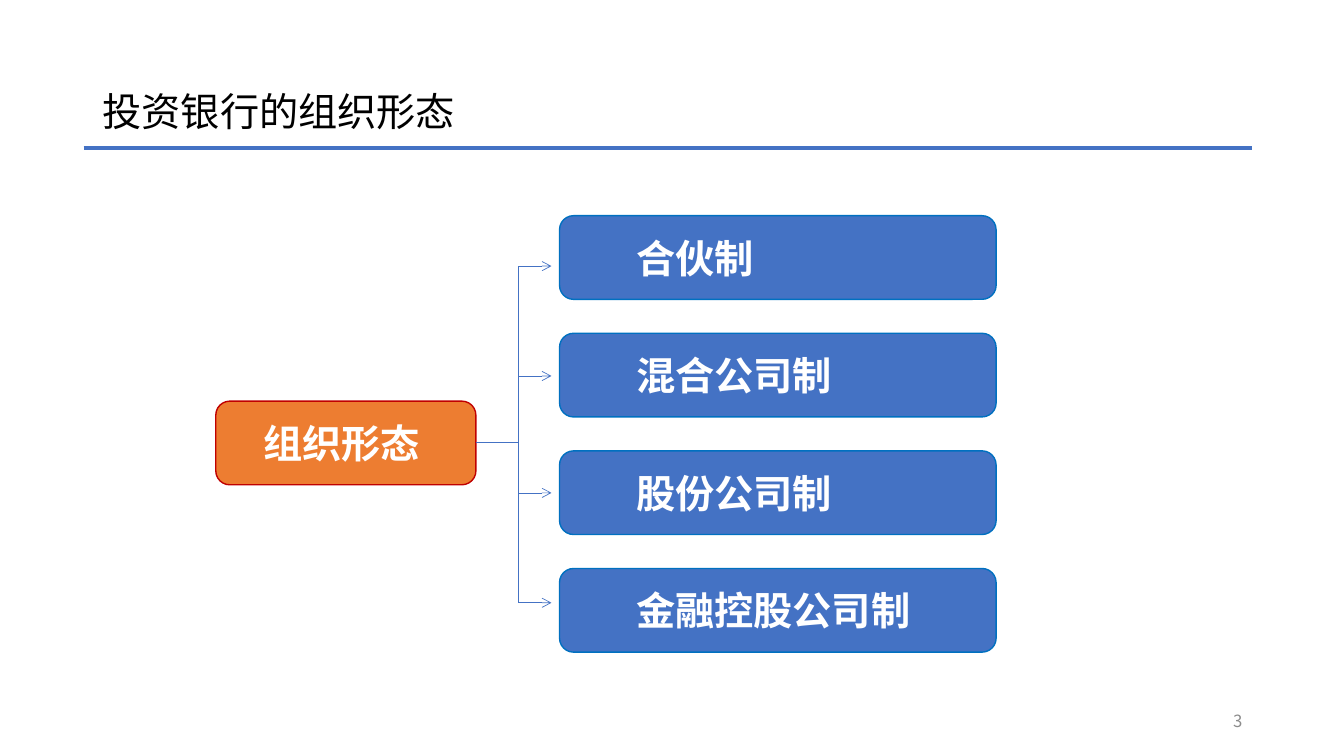
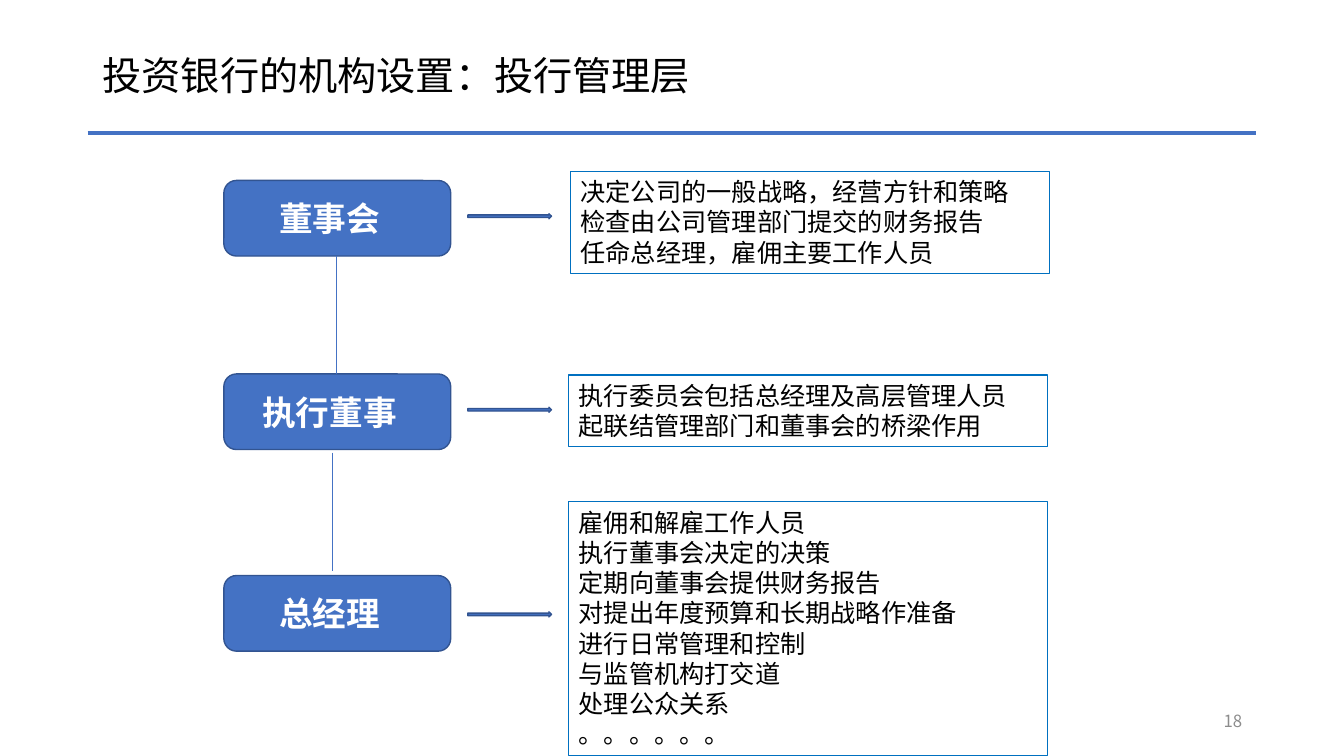
from lxml import etree
from pptx import Presentation
from pptx.dml.color import RGBColor
from pptx.enum.shapes import MSO_CONNECTOR, MSO_SHAPE
from pptx.enum.text import MSO_ANCHOR, PP_ALIGN
from pptx.oxml.ns import qn
from pptx.util import Inches, Pt

STRAIGHT = MSO_CONNECTOR.STRAIGHT
RECT, ROUNDED, RIGHT_ARROW = MSO_SHAPE.RECTANGLE, MSO_SHAPE.ROUNDED_RECTANGLE, MSO_SHAPE.RIGHT_ARROW
TOP, MIDDLE = MSO_ANCHOR.TOP, MSO_ANCHOR.MIDDLE
LEFT, CENTER, RIGHT = PP_ALIGN.LEFT, PP_ALIGN.CENTER, PP_ALIGN.RIGHT

FONT = "Noto Sans CJK SC"
BLACK, WHITE, GRAY = "000000", "FFFFFF", "8C8C8C"
BLUE, EDGE_BLUE, DARK_BLUE = "4472C4", "0070C0", "325491"
ORANGE, RED = "ED7D31", "C00000"


def color(hex_string):
    return RGBColor.from_string(hex_string)


def set_all(target, values):
    for name, value in values.items():
        setattr(target, name, value)


class Deck:
    """Shared style plus the slide being filled; positions are in inches."""

    def __init__(self):
        self.prs = Presentation()
        self.prs.slide_width, self.prs.slide_height = Inches(13.33), Inches(7.5)
        self.slide = None

    def new_slide(self, title, number, title_height, rule_left, rule_y):
        self.slide = self.prs.slides.add_slide(self.prs.slide_layouts[6])
        self.text_box((0.92, 0.4, 11.5, title_height), title, 28, BLACK, spacing=0.9)
        self.line((rule_left, rule_y), (rule_left + 11.59, rule_y), width=3)
        self.text_box((9.42, 6.95, 3, 0.4), number, 12, GRAY, align=RIGHT)

    def text_box(self, box, text, size, ink, **layout):
        holder = self.slide.shapes.add_textbox(*map(Inches, box))
        self.set_text(holder.text_frame, [text], size, ink, **layout)

    def set_text(self, frame, lines, size, ink, bold=False, align=LEFT, anchor=MIDDLE,
                 spacing=None, insets=(0.1, 0.1)):
        set_all(frame, {
            "word_wrap": True, "vertical_anchor": anchor,
            "margin_left": Inches(insets[0]), "margin_right": Inches(insets[1]),
            "margin_top": Inches(0.05), "margin_bottom": Inches(0.05),
        })
        for index, line in enumerate(lines):
            paragraph = frame.add_paragraph() if index else frame.paragraphs[0]
            paragraph.alignment = align
            if spacing:
                paragraph.line_spacing = spacing
            run = paragraph.add_run()
            run.text = line
            set_all(run.font, {"name": FONT, "size": Pt(size), "bold": bold})
            run.font.color.rgb = color(ink)
            east_asian = etree.SubElement(run._r.get_or_add_rPr(), qn("a:ea"))
            east_asian.set("typeface", FONT)

    def shape(self, kind, box, fill, edge, edge_width=1):
        shape = self.slide.shapes.add_shape(kind, *map(Inches, box))
        shape.shadow.inherit = False
        if fill:
            shape.fill.solid()
            shape.fill.fore_color.rgb = color(fill)
        else:
            shape.fill.background()
        shape.line.color.rgb = color(edge)
        shape.line.width = Pt(edge_width)
        return shape

    def label(self, box, text, size, edge, fill=BLUE, align=CENTER, insets=(0.1, 0.25)):
        shape = self.shape(ROUNDED, box, fill, edge)
        self.set_text(shape.text_frame, [text], size, WHITE, bold=True, align=align, insets=insets)

    def duties(self, box, lines):
        """Outlined list of what one management level does."""
        shape = self.shape(RECT, box, None, EDGE_BLUE, 0.75)
        self.set_text(shape.text_frame, lines, 18, BLACK, anchor=TOP)

    def line(self, start, end, width=0.5, arrow=False):
        connector = self.slide.shapes.add_connector(STRAIGHT, *map(Inches, start + end))
        connector.line.color.rgb = color(BLUE)
        connector.line.width = Pt(width)
        properties = connector._element.spPr
        if arrow:
            etree.SubElement(properties.find(qn("a:ln")), qn("a:tailEnd")).set("type", "arrow")
        etree.SubElement(properties, qn("a:effectLst"))


def organization_forms(deck):
    deck.new_slide("投资银行的组织形态", "3", 1.45, 0.83, 1.47)
    trunk_x, root_y = 5.14, 4.39
    branch_ys = (2.64, 3.73, 4.89, 5.98)
    deck.line((trunk_x, branch_ys[0]), (trunk_x, branch_ys[-1]))
    forms = ("合伙制", "混合公司制", "股份公司制", "金融控股公司制")
    for row, (form, branch_y) in enumerate(zip(forms, branch_ys)):
        deck.label((5.55, 2.14 + row * 3.5 / 3, 4.33, 0.83), form, 28, EDGE_BLUE,
                   align=LEFT, insets=(0.72, 0.1))
        deck.line((trunk_x, branch_y), (5.47, branch_y), arrow=True)
    deck.label((2.14, 3.98, 2.58, 0.83), "组织形态", 28, RED, fill=ORANGE, insets=(0.1, 0.18))
    deck.line((4.72, root_y), (trunk_x, root_y))


def management_levels(deck):
    deck.new_slide("投资银行的机构设置：投行管理层", "18", 0.75, 0.87, 1.32)
    # Level, its top, arrow top, then the duty box's left, top, height and lines
    levels = (
        ("董事会", 1.79, 2.12, 5.66, 1.7, 1.01, (
            "决定公司的一般战略，经营方针和策略",
            "检查由公司管理部门提交的财务报告",
            "任命总经理，雇佣主要工作人员")),
        ("执行董事", 3.71, 4.04, 5.64, 3.72, 0.71, (
            "执行委员会包括总经理及高层管理人员",
            "起联结管理部门和董事会的桥梁作用")),
        ("总经理", 5.71, 6.07, 5.64, 4.98, 2.52, (
            "雇佣和解雇工作人员",
            "执行董事会决定的决策",
            "定期向董事会提供财务报告",
            "对提出年度预算和长期战略作准备",
            "进行日常管理和控制",
            "与监管机构打交道",
            "处理公众关系",
            "。。。。。。")),
    )
    for level, top, arrow_top, duty_left, duty_top, duty_height, lines in levels:
        deck.label((2.22, top, 2.25, 0.75), level, 24, DARK_BLUE)
        deck.shape(RIGHT_ARROW, (4.64, arrow_top, 0.83, 0.05), BLUE, DARK_BLUE)
        deck.duties((duty_left, duty_top, 4.75, duty_height), lines)
    for link_x, link_top in ((3.34, 2.54), (3.3, 4.49)):
        deck.line((link_x, link_top), (link_x, link_top + 1.17))


def main():
    deck = Deck()
    organization_forms(deck)
    management_levels(deck)
    deck.prs.save("out.pptx")


if __name__ == "__main__":
    main()
